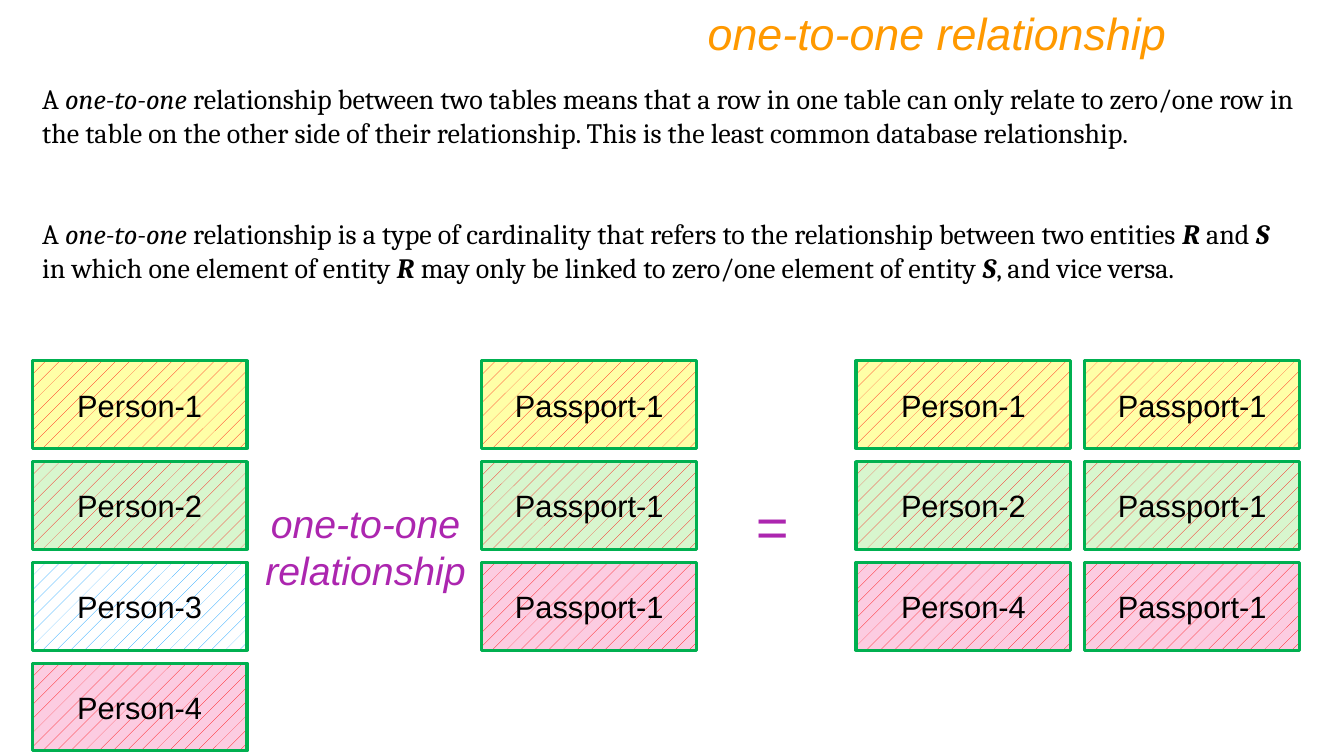
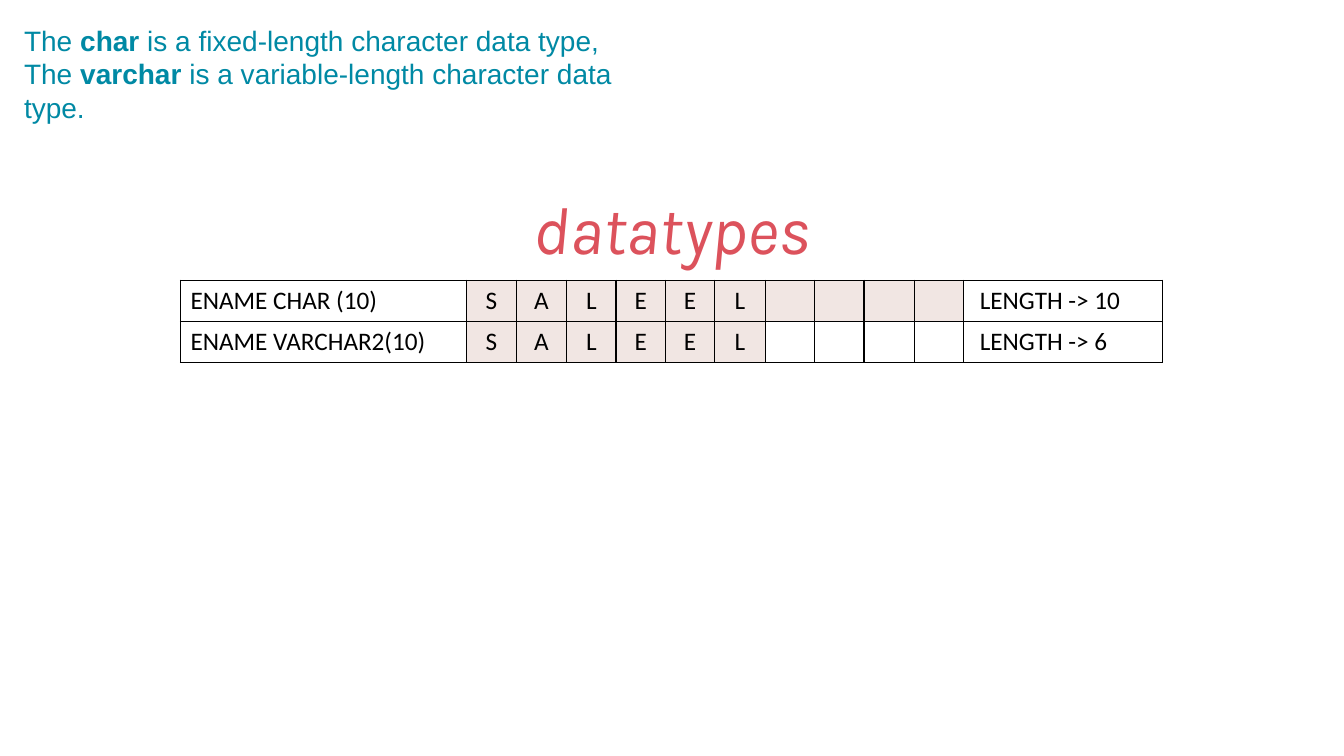
import itertools

import pptx
import pptx.dml.color
import pptx.enum.dml
import pptx.enum.shapes
import pptx.enum.text
import pptx.oxml
import pptx.oxml.ns
import pptx.util

PX = 9144  # EMU in one px, at 100 px to the inch
PAGE_SIZE = (1333, 750)
TITLE_ONLY = 5

COLOURS = {
    "ink": "000000",
    "orange": "FF9900",
    "purple": "AC26AF",
    "coral": "DC525C",
    "teal": "0089A4",
    "outline": "00B050",
    "red": "FF0000",
    "blue": "0099FF",
    "yellow": "FFFFA7",
    "green": "D8F6CE",
    "white": "FFFFFF",
    "pink": "FCCCE1",
    "letter": "F1E6E3",
}

# Each format: font values, then the colour name
FORMATS = {
    "relationship title": ({"name": "Arial", "size": 32, "italic": True}, "orange"),
    "datatypes title": ({"name": "Karla", "size": 48, "italic": True}, "coral"),
    "definition": ({"name": "Cambria", "size": 20}, "ink"),
    "entity": ({"name": "Arial", "size": 22}, "ink"),
    "label": ({"name": "Arial", "size": 28, "italic": True}, "purple"),
    "equals": ({"name": "Arial", "size": 40, "italic": True}, "purple"),
    "statement": ({"name": "Arial", "size": 20}, "teal"),
    "cell": ({"name": "Calibri", "size": 18}, "ink"),
}
PLAIN = {}
BOLD = {"bold": True}
ITALIC = {"italic": True}
STRONG = {"bold": True, "italic": True}

LEFT = pptx.enum.text.PP_ALIGN.LEFT
CENTER = pptx.enum.text.PP_ALIGN.CENTER
RIGHT = pptx.enum.text.PP_ALIGN.RIGHT
MIDDLE = pptx.enum.text.MSO_ANCHOR.MIDDLE

DEFINITIONS = [
    ((32, 76, 1265, 111), [
        ("A ", PLAIN), ("one-to-one", ITALIC),
        (" relationship between two tables means that a row in one table can only "
         "relate to zero/one row in the table on the other side of their relationship. "
         "This is the least common database relationship.", PLAIN)]),
    ((32, 210, 1241, 111), [
        ("A ", PLAIN), ("one-to-one", ITALIC),
        (" relationship is a type of cardinality that refers to the relationship "
         "between two entities ", PLAIN), ("R", STRONG), (" and ", PLAIN), ("S", STRONG),
        (" in which one element of entity ", PLAIN), ("R", STRONG),
        (" may only be linked to zero/one element of entity ", PLAIN), ("S", STRONG),
        (", and vice versa.", PLAIN)]),
]
STATEMENT = [
    [("The ", PLAIN), ("char", BOLD), (" is a fixed-length character data type,", PLAIN)],
    [("The ", PLAIN), ("varchar", BOLD), (" is a variable-length character data type.", PLAIN)],
]

# Person number: fill and hatching
PERSONS = {1: ("yellow", "red"), 2: ("green", "red"), 3: ("white", "blue"), 4: ("pink", "red")}
HOLDERS = [1, 2, 4]
# Entity columns: left edge in the diagram, name pattern, persons shown
ENTITY_COLUMNS = [
    (0, "Person-{}", list(PERSONS)),
    (446, "Passport-1", HOLDERS),
    (817, "Person-{}", HOLDERS),
    (1044, "Passport-1", HOLDERS),
]
ENTITY_SIZE = (213, 87)
ROW_PITCH = 100

# Declaration, stored letters, shaded slots, length
STORAGE = [
    ("ENAME CHAR (10)", "SALEEL", 10, "LENGTH -> 10"),
    ("ENAME VARCHAR2(10)", "SALEEL", 6, "LENGTH -> 6"),
]
SLOTS = 10


def emu(box):
    return [length * PX for length in box]


def rgb(name):
    return pptx.dml.color.RGBColor.from_string(COLOURS[name])


def write(frame, paragraphs, style, align=LEFT):
    """Fill a text frame with paragraphs, each a list of (text, emphasis) spans."""
    values, colour = FORMATS[style]
    for index, spans in enumerate(paragraphs):
        para = frame.add_paragraph() if index else frame.paragraphs[0]
        para.alignment = align
        for text, emphasis in spans:
            span = para.add_run()
            span.text = text
            for key, value in {**values, **emphasis}.items():
                setattr(span.font, key, pptx.util.Pt(value) if key == "size" else value)
            span.font.color.rgb = rgb(colour)


def add_text(page, box, paragraphs, style, align=LEFT):
    frame = page.shapes.add_textbox(*emu(box)).text_frame
    frame.word_wrap = True
    write(frame, paragraphs, style, align)


def add_page(deck, title, box, style, align):
    page = deck.slides.add_slide(deck.slide_layouts[TITLE_ONLY])
    heading = page.shapes.title
    for key, value in zip(("left", "top", "width", "height"), emu(box)):
        setattr(heading, key, value)
    frame = heading.text_frame
    frame.auto_size = pptx.enum.text.MSO_AUTO_SIZE.NONE
    frame.vertical_anchor = MIDDLE
    write(frame, [[(title, PLAIN)]], style, align)
    return page


def add_entity(page, box, name, fill, hatching):
    entity = page.shapes.add_shape(pptx.enum.shapes.MSO_SHAPE.RECTANGLE, *emu(box))
    entity.shadow.inherit = False
    entity.fill.patterned()
    entity.fill.pattern = pptx.enum.dml.MSO_PATTERN.PERCENT_5
    entity.fill.fore_color.rgb = rgb(hatching)
    entity.fill.back_color.rgb = rgb(fill)
    entity.line.color.rgb = rgb("outline")
    entity.line.width = pptx.util.Pt(2.25)
    entity.text_frame.vertical_anchor = MIDDLE
    write(entity.text_frame, [[(name, PLAIN)]], "entity", CENTER)


def add_join_diagram(page, left, top):
    for offset, pattern, persons in ENTITY_COLUMNS:
        for row, person in enumerate(persons):
            box = (left + offset, top + row * ROW_PITCH, *ENTITY_SIZE)
            add_entity(page, box, pattern.format(person), *PERSONS[person])
    add_text(page, (left + 219, top + 132, 223, 104),
             [[("one-to-one relationship", PLAIN)]], "label", CENTER)
    add_text(page, (left + 706, top + 125, 55, 77), [[("=", PLAIN)]], "equals", CENTER)


def add_borders(cell):
    properties = cell._tc.get_or_add_tcPr()
    for side in "LRTB":
        properties.append(pptx.oxml.parse_xml(
            f'<a:ln{side} {pptx.oxml.ns.nsdecls("a")} w="12700"><a:solidFill>'
            f'<a:srgbClr val="{COLOURS["ink"]}"/></a:solidFill></a:ln{side}>'))


def fill_cell(cell, text, align, shaded):
    add_borders(cell)
    if shaded:
        cell.fill.solid()
        cell.fill.fore_color.rgb = rgb("letter")
    else:
        cell.fill.background()
    if text:
        write(cell.text_frame, [[(text, PLAIN)]], "cell", align)


def add_storage_table(page, box):
    """Show each declaration, its character slots and its length."""
    name_width, length_width = 284, 197
    slots_width = box[2] - name_width - length_width
    slot_edges = [round(slots_width * slot / SLOTS) for slot in range(SLOTS + 1)]
    slot_widths = [end - start for start, end in itertools.pairwise(slot_edges)]
    table = page.shapes.add_table(len(STORAGE), SLOTS + 2, *emu(box)).table
    table.first_row = table.horz_banding = False
    for column, width in zip(table.columns, [name_width, *slot_widths, length_width]):
        column.width = width * PX
    for row, (name, letters, shaded, length) in enumerate(STORAGE):
        table.rows[row].height = box[3] * PX // len(STORAGE)
        fill_cell(table.cell(row, 0), name, LEFT, False)
        for slot in range(SLOTS):
            fill_cell(table.cell(row, slot + 1), letters[slot:slot + 1], CENTER, slot < shaded)
        last = table.cell(row, SLOTS + 1)
        fill_cell(last, length, LEFT, False)
        last.margin_left = 16 * PX


def add_relationship_page(deck):
    page = add_page(deck, "one-to-one relationship", (167, 0, 1000, 64),
                    "relationship title", RIGHT)
    for box, spans in DEFINITIONS:
        add_text(page, box, [spans], "definition")
    add_join_diagram(page, 32, 358)


def add_datatypes_page(deck):
    page = add_page(deck, "datatypes", (183, 176, 967, 100), "datatypes title", CENTER)
    add_storage_table(page, (179, 278, 974, 82))
    add_text(page, (14, 18, 670, 77), STATEMENT, "statement")


def main():
    deck = pptx.Presentation()
    deck.slide_width, deck.slide_height = emu(PAGE_SIZE)
    add_relationship_page(deck)
    add_datatypes_page(deck)
    deck.save("out.pptx")


if __name__ == "__main__":
    main()
